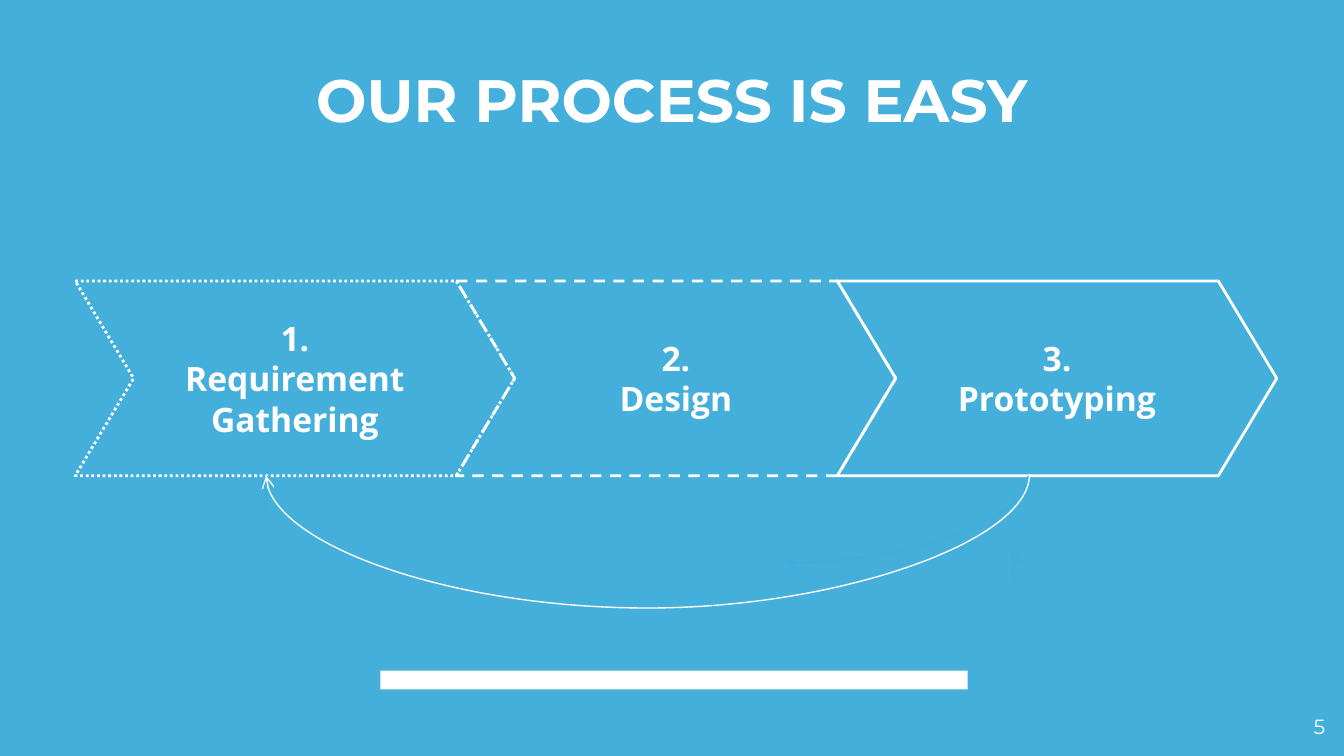
from lxml import etree
from pptx import Presentation
from pptx.dml.color import RGBColor
from pptx.enum.dml import MSO_LINE
from pptx.enum.shapes import MSO_CONNECTOR, MSO_SHAPE
from pptx.enum.text import MSO_ANCHOR, PP_ALIGN
from pptx.oxml.ns import qn
from pptx.util import Inches, Pt

SKY = RGBColor(0x45, 0xAF, 0xDC)
FAINT = RGBColor(0x40, 0xAD, 0xDB)
WHITE = RGBColor(0xFF, 0xFF, 0xFF)

STEP_LEFT, STEP_TOP, STEP_PITCH = 0.56, 2.09, 2.835
STEP_W, STEP_H = 3.27, 1.45
STEP_BOTTOM = STEP_TOP + STEP_H

TITLE = {"name": "Montserrat", "size": Pt(32), "bold": True}
STEP = {"name": "Open Sans", "size": Pt(18), "bold": True}
NUMBER = {"name": "Montserrat", "size": Pt(11), "bold": False}


def box(left, top, width, height):
    return [Inches(v) for v in (left, top, width, height)]


def write(sp, lines, font, align, anchor):
    tf = sp.text_frame
    frame = {"word_wrap": True, "vertical_anchor": anchor}
    for side in ("left", "top", "right", "bottom"):
        frame[f"margin_{side}"] = Inches(0.1)
    for key, value in frame.items():
        setattr(tf, key, value)
    for i, line in enumerate(lines):
        p = tf.add_paragraph() if i else tf.paragraphs[0]
        p.alignment = align
        r = p.add_run()
        r.text = line
        r.font.color.rgb = WHITE
        for key, value in font.items():
            setattr(r.font, key, value)


def add_text(s, area, text, font, align, anchor):
    write(s.shapes.add_textbox(*box(*area)), [text], font, align, anchor)


def add_bar(s, area):
    sp = s.shapes.add_shape(MSO_SHAPE.RECTANGLE, *box(*area))
    sp.shadow.inherit = False
    sp.fill.solid()
    sp.fill.fore_color.rgb = WHITE
    sp.line.fill.background()


def add_step(s, column, label, dash):
    left = STEP_LEFT + column * STEP_PITCH
    sp = s.shapes.add_shape(MSO_SHAPE.CHEVRON, *box(left, STEP_TOP, STEP_W, STEP_H))
    sp.adjustments[0] = 0.3
    sp.shadow.inherit = False
    sp.fill.background()
    sp.line.color.rgb = WHITE
    sp.line.width = Pt(1.5)
    sp.line.dash_style = dash
    write(sp, [f"{column + 1}.", label], STEP, PP_ALIGN.CENTER, MSO_ANCHOR.MIDDLE)


def add_curve(s, start, end, color, head, bend=None):
    (x1, y1), (x2, y2) = start, end
    w, h = abs(y2 - y1), abs(x2 - x1)
    left, top = (x1 + x2 - w) / 2, (y1 + y2 - h) / 2
    cx = s.shapes.add_connector(
        MSO_CONNECTOR.CURVE, *box(left, top, left + w, top + h))
    cx.line.color.rgb = color
    cx.line.width = Pt(0.75)
    pr = cx._element.spPr
    xfrm = pr.find(qn("a:xfrm"))
    xfrm.set("rot", "5400000")
    if x2 > x1:
        xfrm.set("flipH", "1")
        xfrm.set("flipV", "1")
    geom = pr.find(qn("a:prstGeom"))
    if bend is None:
        geom.set("prst", "curvedConnector2")
    else:
        guides = geom.find(qn("a:avLst"))
        etree.SubElement(guides, qn("a:gd"), name="adj1", fmla=f"val {bend * 100000}")
    etree.SubElement(pr.find(qn("a:ln")), qn("a:tailEnd"), type=head)
    etree.SubElement(pr, qn("a:effectLst"))


def main():
    prs = Presentation()
    prs.slide_width, prs.slide_height = Inches(10), Inches(5.625)
    s = prs.slides.add_slide(prs.slide_layouts[6])
    s.background.fill.solid()
    s.background.fill.fore_color.rgb = SKY

    add_bar(s, (2.83, 4.99, 4.37, 0.14))
    add_text(s, (0.5, 0.47, 9, 0.63), "OUR PROCESS IS EASY", TITLE,
             PP_ALIGN.CENTER, MSO_ANCHOR.BOTTOM)
    for column, label, dash in (
        (1, "Design", MSO_LINE.DASH),
        (2, "Prototyping", MSO_LINE.SOLID),
        (0, "Requirement Gathering", MSO_LINE.ROUND_DOT),
    ):
        add_step(s, column, label, dash)
    add_text(s, (9.36, 5.22, 0.6, 0.32), "5", NUMBER,
             PP_ALIGN.RIGHT, MSO_ANCHOR.TOP)

    for start, end, color, head, bend in (
        ((7.65, STEP_BOTTOM), (5.82, 4.19), FAINT, "triangle", None),
        ((7.53, 4.11), (7.55, 4.1), FAINT, "triangle", -22),
        ((1.99, STEP_BOTTOM), (1.97, 3.55), FAINT, "triangle", 25),
        ((7.66, 3.53), (1.98, STEP_BOTTOM), WHITE, "arrow", 101),
    ):
        add_curve(s, start, end, color, head, bend)
    prs.save("out.pptx")


if __name__ == "__main__":
    main()
